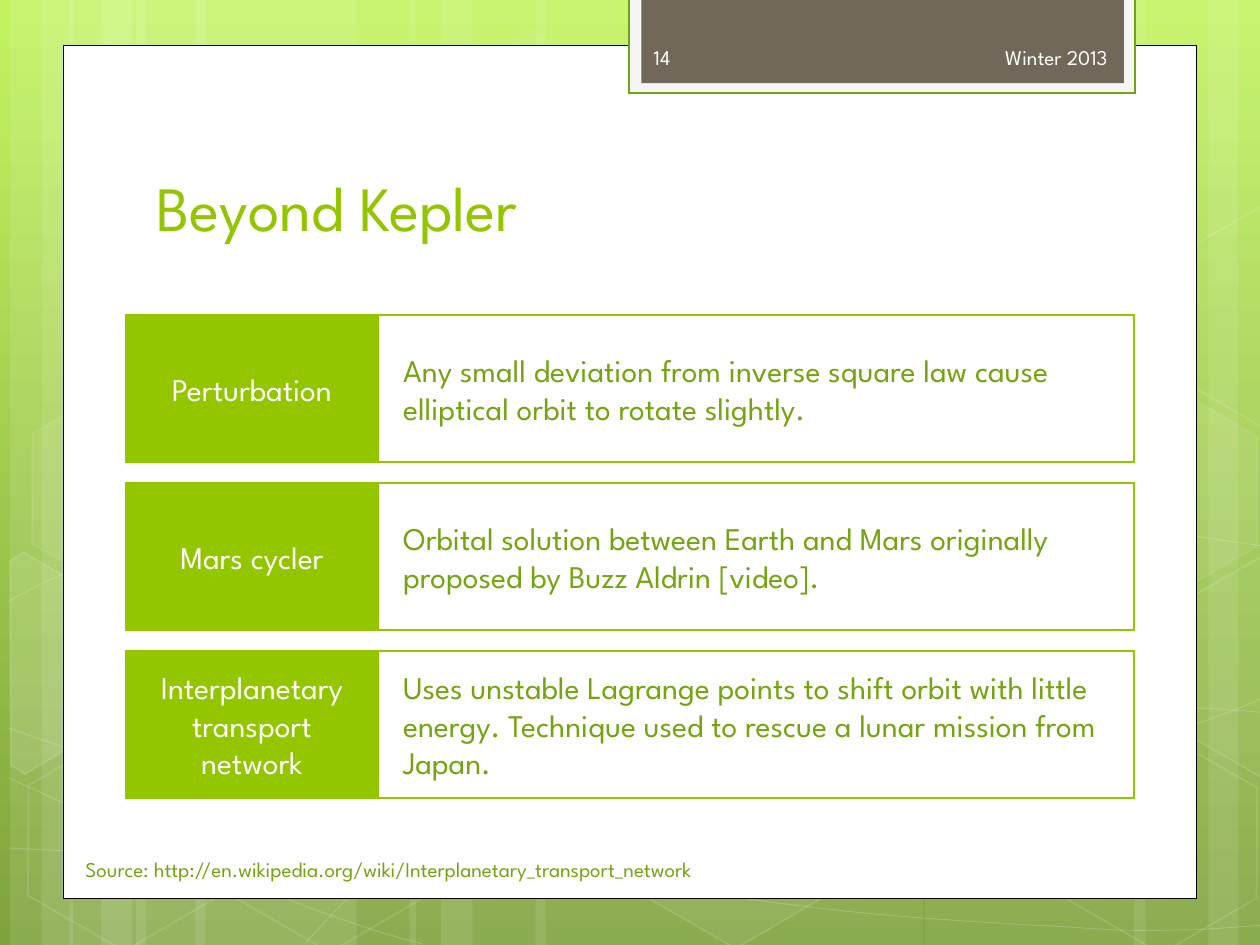
import math

from lxml import etree
from pptx import Presentation
from pptx import util as u
from pptx.dml.color import RGBColor
from pptx.enum import shapes, text
from pptx.oxml.ns import qn

FONT = "League Spartan"
WHITE, LIME, GREEN = "FFFFFF", "94C600", "74A510"
LEFT, CENTER, RIGHT = text.PP_ALIGN.LEFT, text.PP_ALIGN.CENTER, text.PP_ALIGN.RIGHT
MIDDLE, BOTTOM = text.MSO_ANCHOR.MIDDLE, text.MSO_ANCHOR.BOTTOM
TILT = 30

# left, width of the full-height translucent strips
STRIPS = [(1.08, 1.75), (0.08, 0.5), (0.33, 0.83), (1.55, 1.75), (0.55, 0.5),
          (0.8, 0.83), (7.34, 1.75), (9.59, 0.5), (9, 0.83), (4.25, 3.08),
          (3.25, 0.5), (3.5, 0.83)]

# start point, then groups of two control points and an end point
CURVES = [
    [(0.07, 6.73), (0.61, 6.76), (1.15, 6.79), (1.9, 6.78), (2.65, 6.77),
     (3.58, 6.75), (4.58, 6.65), (5.58, 6.55), (7, 6.36), (7.92, 6.17),
     (8.83, 5.98), (9.77, 5.68), (10.07, 5.51)],
    [(0.07, 4.77), (0.36, 4.61), (0.65, 4.46), (1.21, 4.31), (1.78, 4.16),
     (2.59, 3.94), (3.47, 3.87), (4.36, 3.8), (5.44, 3.79), (6.54, 3.87),
     (7.64, 3.95), (9.47, 4.26), (10.07, 4.34)],
    [(0.06, 6.17), (1.27, 6.72), (2.47, 7.27), (3.35, 7.49)],
    [(0.07, 5.78), (0.38, 5.89), (0.7, 6), (1.28, 6.16), (1.86, 6.31),
     (2.73, 6.56), (3.57, 6.73), (4.4, 6.9), (5.45, 7.08), (6.28, 7.18),
     (7.11, 7.29), (8, 7.33), (8.53, 7.36), (9.06, 7.4), (9.19, 7.38),
     (9.45, 7.38), (9.71, 7.37), (9.89, 7.35), (10.07, 7.34)],
    [(2.42, 7.49), (2.6, 7.29), (2.78, 7.09), (3.02, 6.91), (3.26, 6.72),
     (3.6, 6.53), (3.88, 6.39), (4.16, 6.25), (4.33, 6.19), (4.69, 6.09),
     (5.06, 5.99), (5.73, 5.85), (6.08, 5.78), (6.44, 5.71), (6.49, 5.71),
     (6.8, 5.69), (7.11, 5.66), (7.6, 5.63), (7.94, 5.62), (8.29, 5.61),
     (8.86, 5.62), (8.86, 5.62), (9.08, 5.62), (9.31, 5.62), (9.53, 5.62),
     (9.71, 5.63), (9.88, 5.64), (9.97, 5.65), (10.06, 5.66), (10.03, 5.65),
     (10.06, 5.66)],
]

# left, top, fill opacity, line opacity
HEXAGONS = [(3.34, 0.36, 4, 8), (4.96, 5.89, 6, 12), (0.11, 5.91, 0, 12),
            (0.14, 3.12, 7, 8), (1.74, 5.92, 0, 12), (7.53, 4.53, 10, 12),
            (8.34, 5.93, 0, 12), (8.34, 3.14, 7, 8)]

# fill opacity, centre, corners of the hexagons cut by the slide edges
CUT_HEXAGONS = [
    (10, (0.36, 5.36), [(0.08, 4.45), (0.19, 4.38), (0.96, 4.83), (0.95, 5.7),
                        (0.2, 6.14), (0.09, 6.07)]),
    (4, (9.85, 5.2), [(9.26, 4.85), (10.02, 4.41), (10.09, 4.46), (10.09, 6.13),
                      (10.02, 6.17), (9.26, 5.73)]),
    (0, (9.85, 2.41), [(9.26, 2.07), (10.02, 1.63), (10.1, 1.68), (10.09, 3.35),
                       (10.02, 3.39), (9.26, 2.95)]),
]

TERMS = [
    ("Perturbation", "Any small deviation from inverse square law cause "
     "elliptical orbit to rotate slightly."),
    ("Mars cycler", "Orbital solution between Earth and Mars originally "
     "proposed by Buzz Aldrin [video]."),
    ("Interplanetary transport network", "Uses unstable Lagrange points to "
     "shift orbit with little energy. Technique used to rescue a lunar "
     "mission from Japan."),
]


def color(value):
    return RGBColor.from_string(value)


def inches(*values):
    return [u.Inches(value) for value in values]


def paint(fill, value, opacity=100):
    """Fill with a colour at a percentage of opacity; 0 means no fill."""
    if not opacity:
        fill.background()
        return
    fill.solid()
    fill.fore_color.rgb = color(value)
    if opacity < 100:
        tint = fill._xPr.find(qn("a:solidFill"))[0]
        etree.SubElement(tint, qn("a:alpha"), val=str(opacity * 1000))


def style(shape, fill=WHITE, opacity=100, line=None, width=1, line_opacity=100):
    shape.shadow.inherit = False
    paint(shape.fill, fill, opacity)
    if line:
        shape.line.width = u.Pt(width)
        paint(shape.line.fill, line, line_opacity)
        etree.SubElement(shape.line._ln, qn("a:miter"), lim="800000")
    else:
        shape.line.fill.background()


def add_rect(page, at, **look):
    shape = page.shapes.add_shape(shapes.MSO_SHAPE.RECTANGLE, *inches(*at))
    style(shape, **look)
    return shape


def add_outline(page, points, close, **look):
    start, *rest = [inches(*point) for point in points]
    builder = page.shapes.build_freeform(*start)
    builder.add_line_segments(rest, close=close)
    shape = builder.convert_to_shape()
    style(shape, line=WHITE, **look)
    return shape


def add_curve(page, knots):
    """Draw an open outline, then join each three line points into a Bezier."""
    shape = add_outline(page, knots, False, opacity=0, width=0.5, line_opacity=20)
    steps = list(shape._element.iter(qn("a:lnTo")))
    for i in range(0, len(steps), 3):
        bend = etree.Element(qn("a:cubicBezTo"))
        steps[i].addprevious(bend)
        for step in steps[i:i + 3]:
            bend.append(step[0])
            step.getparent().remove(step)


def turn_back(point, center):
    """Undo the tilt of a point around a centre."""
    x, y = point[0] - center[0], point[1] - center[1]
    cos, sin = math.cos(math.radians(TILT)), math.sin(math.radians(TILT))
    return center[0] + x * cos + y * sin, center[1] - x * sin + y * cos


def write(shape, words, size, ink, align=LEFT, anchor=MIDDLE, indent=0.1):
    frame = shape.text_frame
    frame.word_wrap = True
    frame.auto_size = text.MSO_AUTO_SIZE.NONE
    frame.vertical_anchor = anchor
    frame.margin_left = u.Inches(indent)
    para = frame.paragraphs[0]
    para.alignment = align
    span = para.add_run()
    span.text = words
    span.font.name = FONT
    span.font.size = u.Pt(size)
    span.font.color.rgb = color(ink)


def add_label(page, at, *args, **options):
    write(page.shapes.add_textbox(*inches(*at)), *args, **options)


def add_backdrop(page):
    fill = page.background.fill
    fill.gradient()
    fill.gradient_angle = 270
    for stop, position, value in zip(fill.gradient_stops, (0, 1), ("C2F35F", "80A33D")):
        stop.position = position
        stop.color.rgb = color(value)
    for left, width in STRIPS:
        add_rect(page, (left, 0, width, 7.5), opacity=10)
    for knots in CURVES:
        add_curve(page, knots)
    for left, top, opacity, line_opacity in HEXAGONS:
        hexagon = page.shapes.add_shape(shapes.MSO_SHAPE.HEXAGON, *inches(left, top, 1.75, 1.52))
        hexagon.adjustments[0] = 0.285
        hexagon.rotation = TILT
        style(hexagon, opacity=opacity, line=WHITE, line_opacity=line_opacity)
    for opacity, center, corners in CUT_HEXAGONS:
        upright = [turn_back(corner, center) for corner in corners]
        add_outline(page, upright, True, opacity=opacity, line_opacity=12).rotation = TILT


def add_panel(page):
    add_rect(page, (0.5, 0.36, 9, 6.77), line="000000", width=0.5)
    add_rect(page, (4.99, -0.02, 4.02, 0.76), fill="F5F5F5", line=GREEN, width=1.25)
    add_rect(page, (5.09, -0.02, 3.83, 0.68), fill="71685A")


def add_title(page, words):
    title = page.shapes.title
    title.left, title.top, title.width, title.height = inches(1.14, 0.91, 7.68, 1.46)
    write(title, words, 36, LIME)
    page.shapes._spTree.append(title._element)


def add_term(page, top, term, meaning):
    height = 3.5 / 3
    head = add_rect(page, (1, top, 2, height), fill=LIME, line=LIME, width=1.5)
    write(head, term, 18, WHITE, align=CENTER)
    body = add_rect(page, (3, top, 6, height), line=LIME, width=1.5)
    write(body, meaning, 18, GREEN, indent=0.2)


def main():
    deck = Presentation()
    deck.slide_width, deck.slide_height = inches(10, 7.5)
    page = deck.slides.add_slide(deck.slide_layouts[5])
    add_backdrop(page)
    add_panel(page)
    add_title(page, "Beyond Kepler")
    add_label(page, (6.56, 0.25, 2.33, 0.4), "Winter 2013", 12, "FEFEFE", align=RIGHT)
    add_label(page, (5.09, 0.25, 1.46, 0.4), "14", 12, "FEFEFE")
    add_label(page, (0.58, 6.75, 6.75, 0.3),
              "Source: http://en.wikipedia.org/wiki/Interplanetary_transport_network",
              12, GREEN, anchor=BOTTOM)
    for row, (term, meaning) in enumerate(TERMS):
        add_term(page, 2.5 + row * 4 / 3, term, meaning)
    deck.save("out.pptx")


if __name__ == "__main__":
    main()
